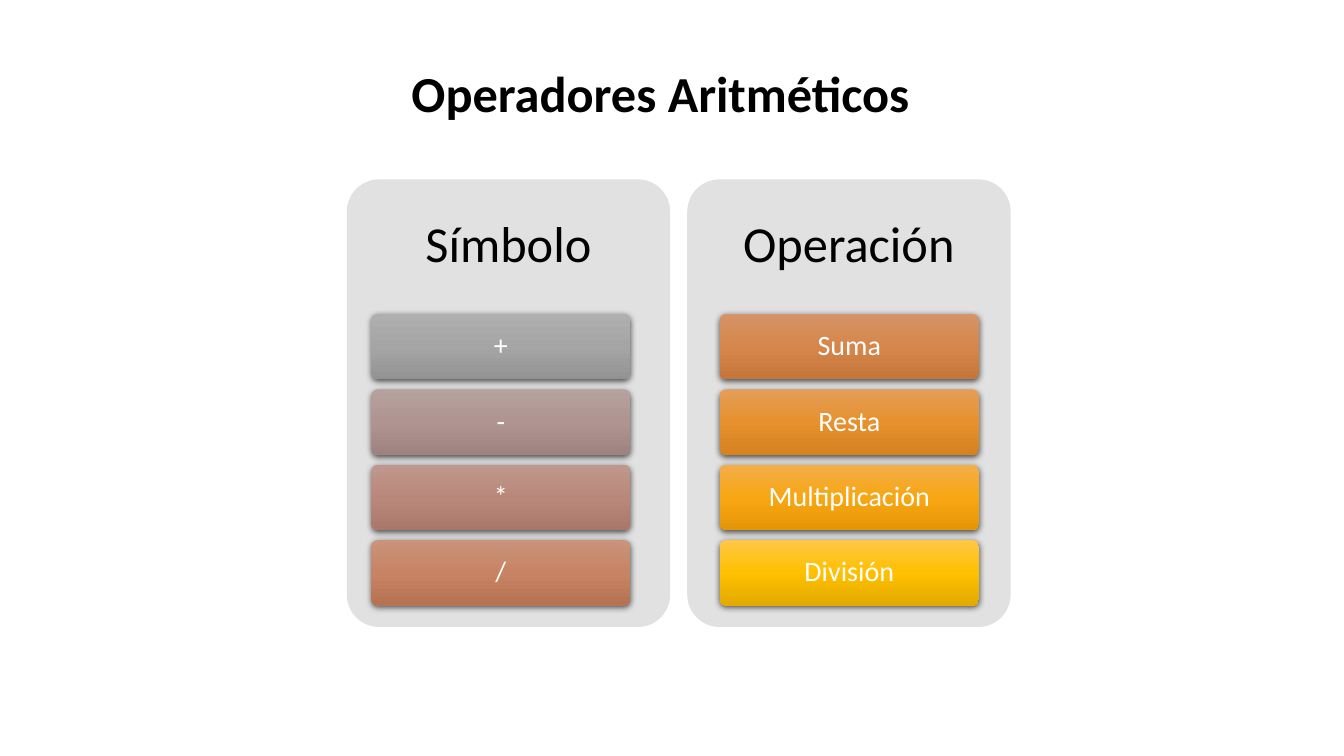
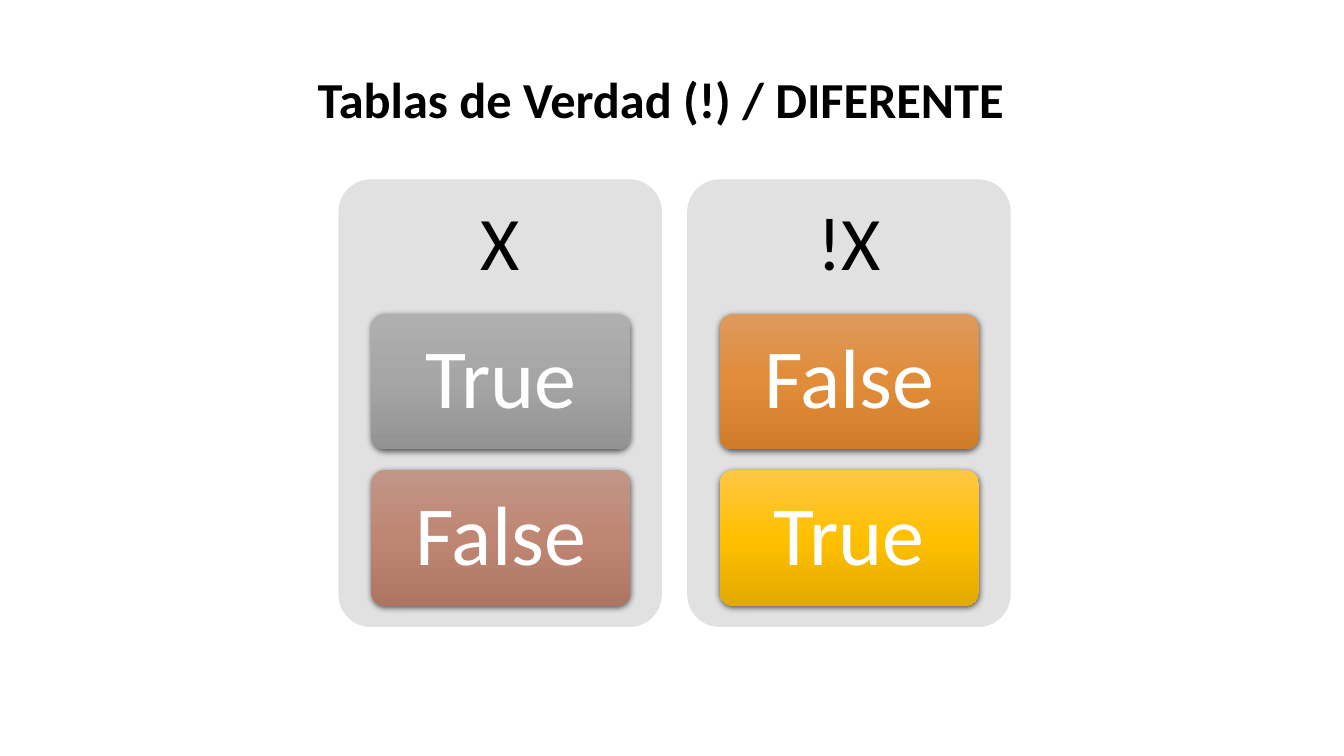
import copy

import pptx
import pptx.dml.color
import pptx.enum.shapes
import pptx.enum.text
import pptx.oxml
import pptx.oxml.ns
import pptx.util

Cm, Pt = pptx.util.Cm, pptx.util.Pt
RGB = pptx.dml.color.RGBColor.from_string
SHAPE = pptx.enum.shapes.MSO_SHAPE.ROUNDED_RECTANGLE

FONT = "Calibri"
COLORS = {"text": "000000", "tile_text": "FFFFFF", "card": "E1E1E1", "shadow": "000000"}
# Top, middle and bottom of each tile's gradient
GRADIENTS = {
    "grey": ("AFAFAF", "A5A5A5", "939393"),
    "mauve": ("B6A19E", "AF9491", "9D827F"),
    "rose": ("BF988D", "BA887B", "A9786A"),
    "brick": ("C29687", "BE8673", "AD7562"),
    "clay": ("C9947B", "C78363", "B67353"),
    "copper": ("D59469", "D6864A", "C5763A"),
    "orange": ("DE9A5E", "E08C38", "D07C29"),
    "tangerine": ("E39E58", "E6912E", "D68220"),
    "amber": ("F2AE4A", "F8A612", "E59607"),
    "gold": ("FFC746", "FFC000", "E3AA00"),
}

# Lengths are centimetres; card_lefts are the left edges of the two cards
SLIDES = [
    {
        "title": "Operadores Aritméticos", "title_box": (4.9, 1.2, 23.5, 2.43),
        "card_lefts": (8.74, 17.32), "head_size": 36, "tile_size": 20,
        "gap": 0.25, "inset": 0.15,
        "columns": [
            ("Símbolo", [("+", "grey"), ("-", "mauve"), ("*", "rose"), ("/", "clay")]),
            ("Operación", [("Suma", "copper"), ("Resta", "tangerine"),
                           ("Multiplicación", "amber"), ("División", "gold")]),
        ],
    },
    {
        "title": "Tablas de Verdad (!) / DIFERENTE", "title_box": (4.9, 0.89, 23.52, 3.35),
        "card_lefts": (8.53, 17.32), "head_size": 54, "tile_size": 60,
        "gap": 0.52, "inset": 0.3,
        "columns": [
            ("X", [("True", "grey"), ("False", "brick")]),
            ("!X", [("False", "orange"), ("True", "gold")]),
        ],
    },
]

CARD_TOP, CARD_W, CARD_H, HEAD_H = 4.52, 8.15, 11.28, 3.38
TILE_LEFTS, TILE_W = (9.36, 18.14), 6.53
TILES_TOP, TILES_H = 7.91, 7.35


def write(sp, text, size, color, bold=False, inset=0.25):
    tf = sp.text_frame
    frame = {
        "word_wrap": True, "vertical_anchor": pptx.enum.text.MSO_ANCHOR.MIDDLE,
        "margin_left": Cm(inset), "margin_right": Cm(inset),
        "margin_top": Cm(inset / 2), "margin_bottom": Cm(inset / 2),
    }
    for name, value in frame.items():
        setattr(tf, name, value)
    p = tf.paragraphs[0]
    p.alignment = pptx.enum.text.PP_ALIGN.CENTER
    p.line_spacing = 0.9
    r = p.add_run()
    r.text = text
    for name, value in {"name": FONT, "size": Pt(size), "bold": bold}.items():
        setattr(r.font, name, value)
    r.font.color.rgb = RGB(COLORS[color])


def add_label(s, box, *args, **options):
    write(s.shapes.add_textbox(*map(Cm, box)), *args, **options)


def add_round_box(s, box):
    sp = s.shapes.add_shape(SHAPE, *map(Cm, box))
    sp.adjustments[0] = 0.1
    sp.shadow.inherit = False
    sp.line.fill.background()
    return sp


def fill_gradient(sp, colors):
    """Fill from top to bottom with three evenly spaced colours."""
    sp.fill.gradient()
    sp.fill.gradient_angle = 270
    stops = sp._element.spPr.find(".//" + pptx.oxml.ns.qn("a:gsLst"))
    stops.append(copy.deepcopy(stops[0]))
    for i, (stop, color) in enumerate(zip(sp.fill.gradient_stops, colors)):
        stop.position = i / 2
        stop.color.rgb = RGB(color)


def add_shadow(sp):
    effects = sp._element.spPr.find(pptx.oxml.ns.qn("a:effectLst"))
    effects.append(pptx.oxml.parse_xml(
        f'<a:outerShdw {pptx.oxml.ns.nsdecls("a")} blurRad="{Pt(4.5)}" dist="{Pt(1.5)}" '
        f'dir="5400000" algn="ctr" rotWithShape="0"><a:srgbClr val="{COLORS["shadow"]}">'
        '<a:alpha val="63000"/></a:srgbClr></a:outerShdw>'))


def add_column(s, data, card_left, tile_left, head, tiles):
    card = add_round_box(s, (card_left, CARD_TOP, CARD_W, CARD_H))
    card.fill.solid()
    card.fill.fore_color.rgb = RGB(COLORS["card"])
    add_label(s, (card_left, CARD_TOP, CARD_W, HEAD_H), head, data["head_size"], "text")

    pitch = (TILES_H + data["gap"]) / len(tiles)
    for i, (text, gradient) in enumerate(tiles):
        tile = add_round_box(
            s, (tile_left, TILES_TOP + i * pitch, TILE_W, pitch - data["gap"]))
        fill_gradient(tile, GRADIENTS[gradient])
        add_shadow(tile)
        write(tile, text, data["tile_size"], "tile_text", inset=data["inset"])


def main():
    prs = pptx.Presentation()
    prs.slide_width, prs.slide_height = Cm(33.87), Cm(19.05)
    for data in SLIDES:
        s = prs.slides.add_slide(prs.slide_layouts[6])
        add_label(s, data["title_box"], data["title"], 36, "text", bold=True)
        for card_left, tile_left, column in zip(data["card_lefts"], TILE_LEFTS, data["columns"]):
            add_column(s, data, card_left, tile_left, *column)
    prs.save("out.pptx")


if __name__ == "__main__":
    main()
